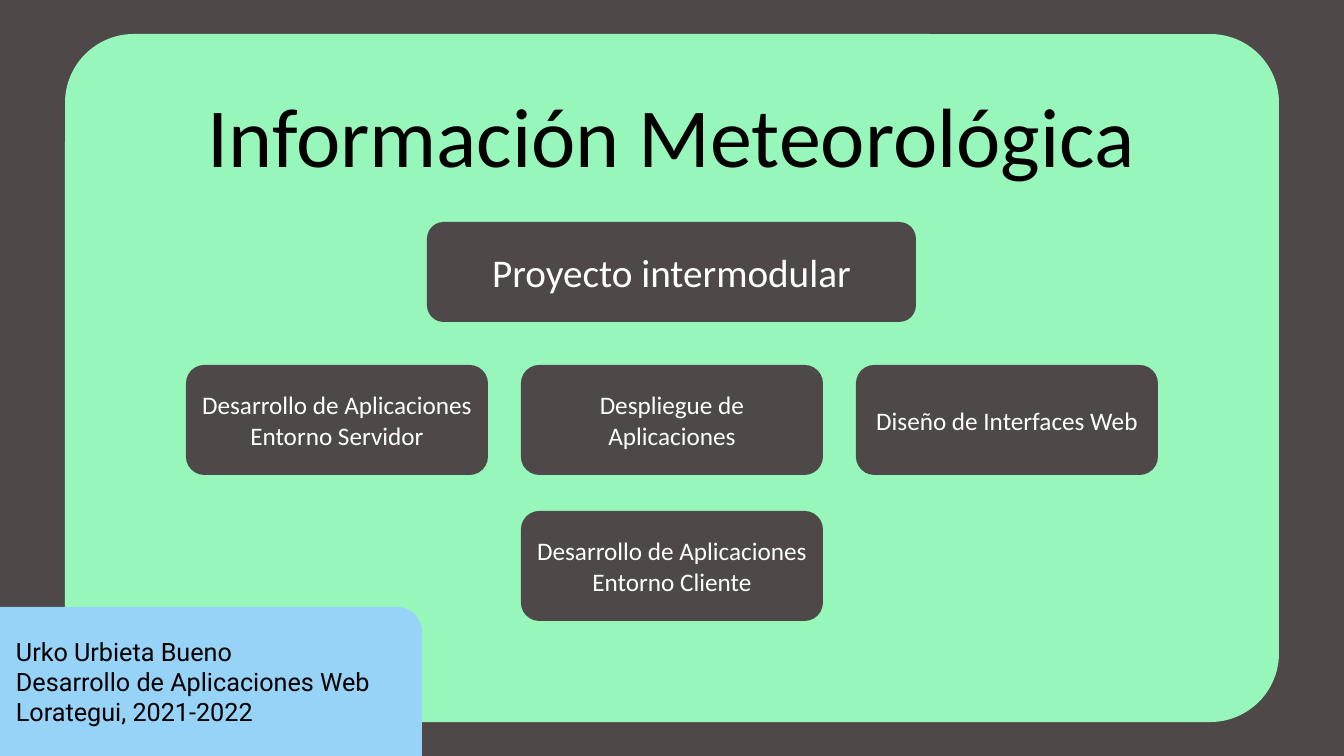
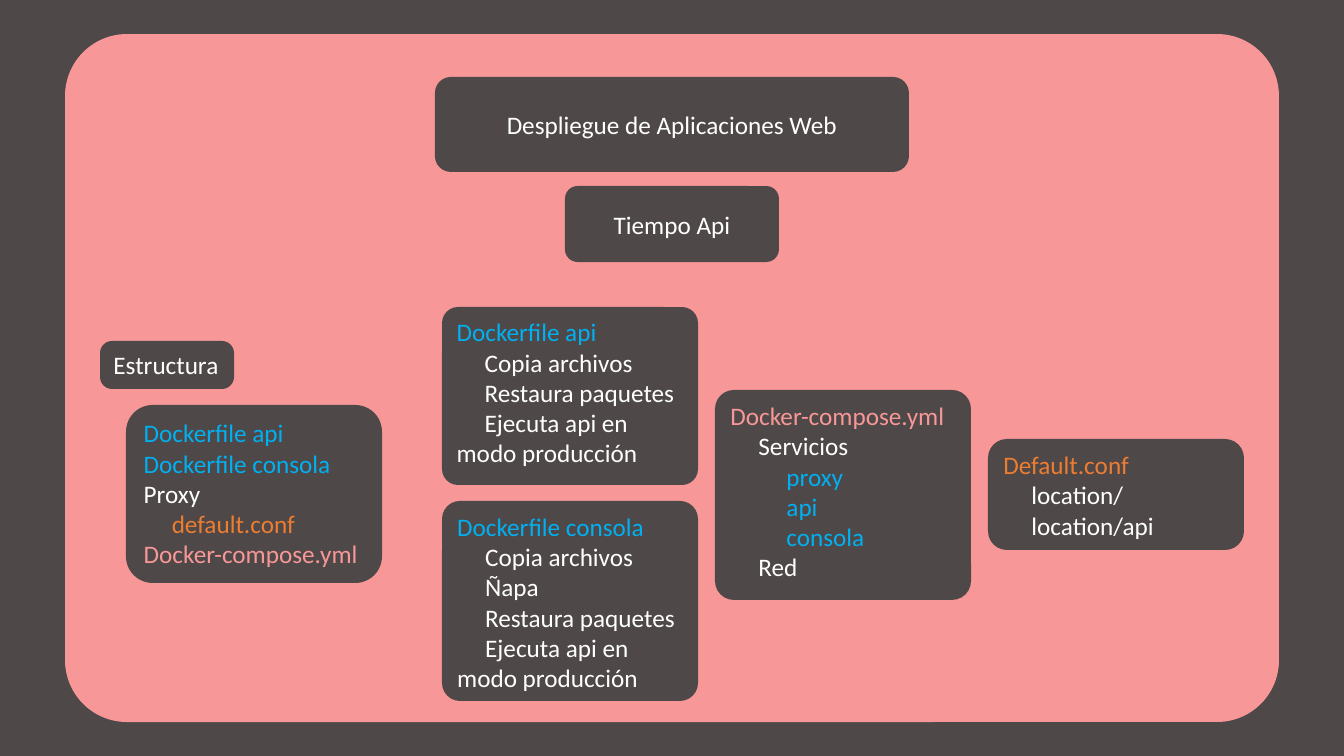
from collections import namedtuple

from pptx import Presentation
from pptx.dml.color import RGBColor
from pptx.enum.shapes import MSO_SHAPE
from pptx.enum.text import MSO_ANCHOR, PP_ALIGN
from pptx.util import Emu, Pt

DARK = RGBColor(0x4F, 0x48, 0x48)
MINT = RGBColor(0x97, 0xF7, 0xBA)
SKY = RGBColor(0x97, 0xD2, 0xF7)
PINK = RGBColor(0xF7, 0x97, 0x97)
BLUE = RGBColor(0x00, 0xB0, 0xF0)
ORANGE = RGBColor(0xED, 0x7D, 0x31)
WHITE = RGBColor(0xFF, 0xFF, 0xFF)
BLACK = RGBColor(0x00, 0x00, 0x00)

FONT = "Calibri"
TAG_FONT = "Roboto"
BODY_SIZE = 18
INDENT = 28
CORNER = 0.167

Box = namedtuple("Box", "left top width height")
Line = namedtuple("Line", "text color level", defaults=(WHITE, 0))

SLIDE = Box(0, 0, 1344, 756)
PANEL = Box(65, 34, 1214, 688)


def px(length):
    return Emu(round(length * 914400 / 100.8))


def within(outer, left, top, width, height):
    return Box(outer.left + left, outer.top + top, width, height)


def centred(outer, top, width, height):
    return within(outer, (outer.width - width) // 2, top, width, height)


def write(frame, lines, size=BODY_SIZE, font=FONT, align=PP_ALIGN.LEFT):
    """Fill a text frame with one paragraph per line; levels indent the first row only."""
    frame.word_wrap = True
    frame.text = "\n".join(line.text for line in lines)
    for paragraph, line in zip(frame.paragraphs, lines):
        paragraph.alignment = align
        if line.level:
            properties = paragraph._p.get_or_add_pPr()
            properties.set("marL", "0")
            properties.set("indent", str(px(INDENT * line.level)))
        for run in paragraph.runs:
            run.font.size = Pt(size)
            run.font.name = font
            run.font.color.rgb = line.color


def add_block(slide, box, fill=DARK, corner=CORNER, kind=MSO_SHAPE.ROUNDED_RECTANGLE):
    block = slide.shapes.add_shape(kind, *map(px, box))
    block.adjustments[0] = corner
    block.shadow.inherit = False
    block.fill.solid()
    block.fill.fore_color.rgb = fill
    block.line.fill.background()
    return block


def add_label(slide, box, text, size=BODY_SIZE):
    frame = add_block(slide, box).text_frame
    frame.vertical_anchor = MSO_ANCHOR.MIDDLE
    write(frame, [Line(text)], size, align=PP_ALIGN.CENTER)


def add_listing(slide, box, lines, corner):
    frame = add_block(slide, box, corner=corner).text_frame
    frame.vertical_anchor = MSO_ANCHOR.TOP
    write(frame, lines)


def add_panel_slide(prs, panel_color, corner):
    slide = prs.slides.add_slide(prs.slide_layouts[6])
    slide.background.fill.solid()
    slide.background.fill.fore_color.rgb = DARK
    add_block(slide, PANEL, panel_color, corner)
    return slide


def add_title(slide, box, text):
    frame = slide.shapes.add_textbox(*map(px, box)).text_frame
    frame.vertical_anchor = MSO_ANCHOR.BOTTOM
    write(frame, [Line(text, BLACK)], 60, align=PP_ALIGN.CENTER)
    frame.paragraphs[0].line_spacing = 0.9


def add_author_tag(slide, box, details):
    frame = add_block(slide, box, SKY, kind=MSO_SHAPE.ROUND_1_RECTANGLE).text_frame
    frame.vertical_anchor = MSO_ANCHOR.MIDDLE
    frame.margin_left = px(16)
    write(frame, [Line(detail, BLACK) for detail in details], font=TAG_FONT)


def add_modules(slide, box, rows):
    """Lay out rows of equal cards, each row centred in the box."""
    width, height, gap_x, gap_y = 302, 110, 33, 36
    for row, names in enumerate(rows):
        row_width = len(names) * (width + gap_x) - gap_x
        start = (box.width - row_width) // 2
        for column, name in enumerate(names):
            card = within(box, start + column * (width + gap_x),
                          row * (height + gap_y), width, height)
            add_label(slide, card, name)


def add_structure(slide, box):
    add_listing(slide, within(box, 0, 0, 134, 48), [Line("Estructura")], 0.25)
    add_listing(slide, within(box, 26, 64, 256, 178), [
        Line("Dockerfile api", BLUE),
        Line("Dockerfile consola", BLUE),
        Line("Proxy"),
        Line("default.conf", ORANGE, 1),
        Line("Docker-compose.yml", PINK),
    ], 0.15)


def add_file_details(slide, box):
    """Describe each file in its own listing, over three equal columns."""
    copy_step = Line("Copia archivos", level=1)
    final_steps = [Line("Restaura paquetes", level=1),
                   Line("Ejecuta api en modo producción", level=1)]
    files = [
        (0, 0, 178, 0.09, [Line("Dockerfile api", BLUE), copy_step, *final_steps]),
        (0, 194, 200, 0.09, [Line("Dockerfile consola", BLUE), copy_step,
                             Line("Ñapa", level=1), *final_steps]),
        (1, 83, 210, 0.09, [
            Line("Docker-compose.yml", PINK),
            Line("Servicios", level=1),
            *[Line(service, BLUE, 2) for service in ("proxy", "api", "consola")],
            Line("Red", level=1),
        ]),
        (2, 132, 111, 0.17, [
            Line("Default.conf", ORANGE),
            Line("location/", level=1),
            Line("location/api", level=1),
        ]),
    ]
    width, gap = 256, 17
    for column, top, height, corner, lines in files:
        card = within(box, column * (width + gap), top, width, height)
        add_listing(slide, card, lines, corner)


def build_cover(prs):
    slide = add_panel_slide(prs, MINT, 0.1)
    add_title(slide, centred(PANEL, 47, 1001, 110), "Información Meteorológica")
    add_author_tag(slide, within(SLIDE, 0, 607, 422, 149), [
        "Urko Urbieta Bueno",
        "Desarrollo de Aplicaciones Web",
        "Lorategui, 2021-2022",
    ])
    add_label(slide, centred(PANEL, 188, 489, 100), "Proyecto intermodular", 28)
    add_modules(slide, within(PANEL, 0, 331, PANEL.width, 256), [
        ["Desarrollo de Aplicaciones Entorno Servidor",
         "Despliegue de Aplicaciones",
         "Diseño de Interfaces Web"],
        ["Desarrollo de Aplicaciones Entorno Cliente"],
    ])


def build_deployment(prs):
    slide = add_panel_slide(prs, PINK, 0.09)
    add_label(slide, centred(PANEL, 43, 474, 95), "Despliegue de Aplicaciones Web")
    add_label(slide, centred(PANEL, 152, 214, 76), "Tiempo Api")
    add_structure(slide, within(PANEL, 35, 307, 282, 242))
    add_file_details(slide, within(PANEL, 377, 273, 802, 394))


def main():
    prs = Presentation()
    prs.slide_width = px(SLIDE.width)
    prs.slide_height = px(SLIDE.height)
    build_cover(prs)
    build_deployment(prs)
    prs.save("out.pptx")


if __name__ == "__main__":
    main()
